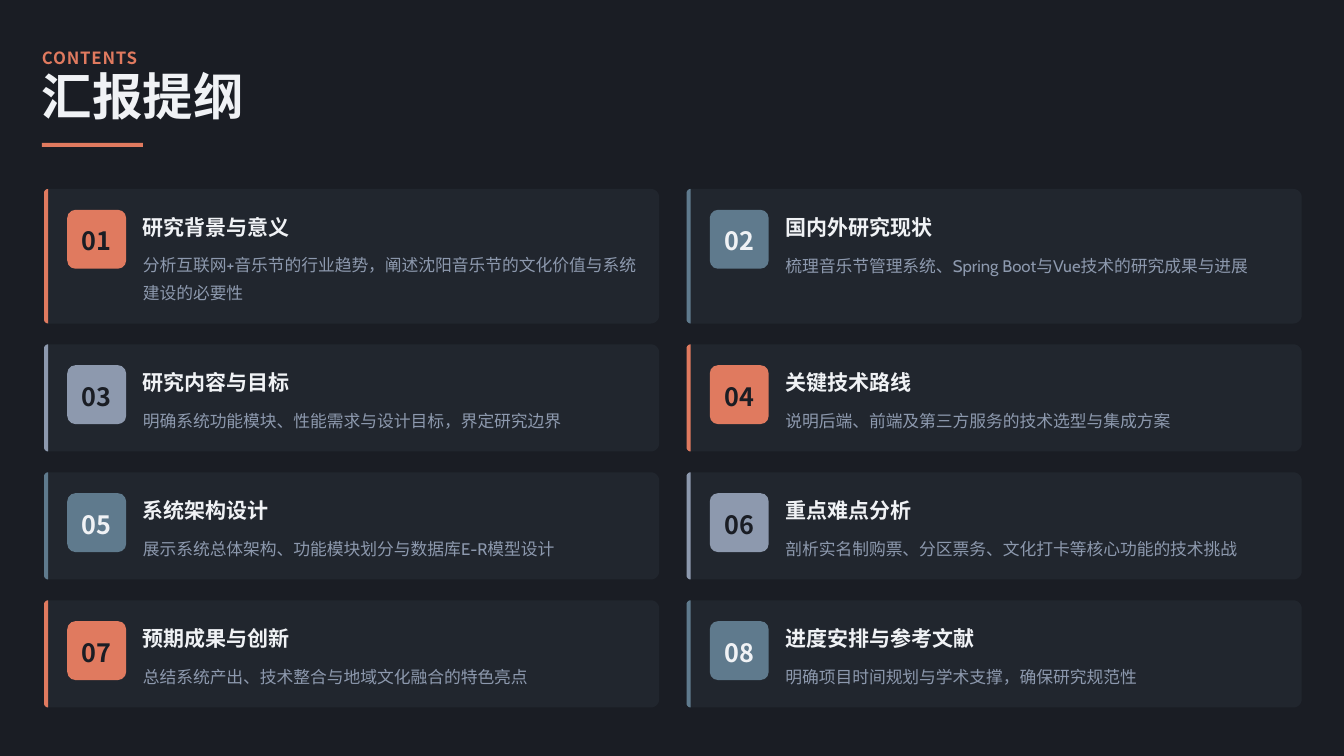
from math import cos, sin, pi

from lxml import etree
from pptx import Presentation
from pptx.dml.color import RGBColor
from pptx.enum.shapes import MSO_SHAPE
from pptx.enum.text import MSO_ANCHOR, MSO_AUTO_SIZE, PP_ALIGN
from pptx.oxml.ns import qn
from pptx.util import Cm, Pt

RECT, ROUND = MSO_SHAPE.RECTANGLE, MSO_SHAPE.ROUNDED_RECTANGLE
MIDDLE, FIXED = MSO_ANCHOR.MIDDLE, MSO_AUTO_SIZE.NONE
LEFT, CENTER = PP_ALIGN.LEFT, PP_ALIGN.CENTER
HAN = "Noto Sans CJK SC"
DARK, LIGHT = "1A1D24", "F0F2F5"
CORAL, TEAL, GREY = "E07A5F", "5F7A8D", "8D99AE"

TOPICS = [
    ("研究背景与意义", "分析互联网+音乐节的行业趋势，阐述沈阳音乐节的文化价值与系统建设的必要性"),
    ("国内外研究现状", "梳理音乐节管理系统、Spring Boot与Vue技术的研究成果与进展"),
    ("研究内容与目标", "明确系统功能模块、性能需求与设计目标，界定研究边界"),
    ("关键技术路线", "说明后端、前端及第三方服务的技术选型与集成方案"),
    ("系统架构设计", "展示系统总体架构、功能模块划分与数据库E-R模型设计"),
    ("重点难点分析", "剖析实名制购票、分区票务、文化打卡等核心功能的技术挑战"),
    ("预期成果与创新", "总结系统产出、技术整合与地域文化融合的特色亮点"),
    ("进度安排与参考文献", "明确项目时间规划与学术支撑，确保研究规范性"),
]


def paint(fill, tint, alpha=100):
    """Make any fill solid, with alpha in percent."""
    fill.solid()
    fill.fore_color.rgb = RGBColor.from_string(tint)
    if alpha < 100:
        node = fill._xPr.find(".//" + qn("a:srgbClr"))
        etree.SubElement(node, qn("a:alpha"), val=str(alpha * 1000))


def write(shape, text, size, tint, space, face=HAN, bold=True, align=LEFT):
    frame = shape.text_frame
    look = {"word_wrap": True, "auto_size": FIXED, "vertical_anchor": MIDDLE,
            "margin_left": 0, "margin_right": 0,
            "margin_top": 0, "margin_bottom": 0}
    for key, value in look.items():
        setattr(frame, key, value)
    para = frame.paragraphs[0]
    para.alignment, para.line_spacing = align, space
    run = para.add_run()
    run.text = text
    for key, value in {"size": Pt(size), "bold": bold, "name": face}.items():
        setattr(run.font, key, value)
    paint(run.font.fill, tint)
    etree.SubElement(run._r.get_or_add_rPr(), qn("a:ea"), typeface=HAN)
    return run


deck = Presentation()
deck.slide_width, deck.slide_height = Cm(45.16), Cm(25.4)
slide = deck.slides.add_slide(deck.slide_layouts[5])
shapes = slide.shapes
paint(slide.background.fill, DARK)

# Heading
label = shapes.add_textbox(Cm(1.41), Cm(1.41), Cm(42.62), Cm(0.85))
run = write(label, "CONTENTS", 16, CORAL, 1.3)
run._r.get_or_add_rPr().set("spc", "80")
title = shapes.title
place = {"left": 1.41, "top": 2.54, "width": 43.18, "height": 1.69}
for key, value in place.items():
    setattr(title, key, Cm(value))
write(title, "汇报提纲", 48, LIGHT, 0.8)
rule = shapes.add_shape(RECT, Cm(1.41), Cm(4.8), Cm(3.39), Cm(0.14))
paint(rule.fill, CORAL)
solids = [rule]

# Topic cards, two to a row; the first row is taller
WIDE, GAP, STEP, EDGE = 20.67, 0.7, 21.59, 0.14
top = 6.35
for index, (head, note) in enumerate(TOPICS):
    row, col = divmod(index, 2)
    high = 3.6 if row else 4.52
    left = 1.48 + col * STEP
    hue = (CORAL, TEAL, GREY)[index % 3]

    # Card and side bar: each has its own radius on the left and right
    for wide, far, tint, alpha in ((WIDE, 0.28, TEAL, 10), (EDGE, 0, hue, 100)):
        right, base = left + wide, top + high
        corners = [(left + EDGE, top + EDGE, EDGE, 2), (right - far, top + far, far, 3),
                   (right - far, base - far, far, 0), (left + EDGE, base - EDGE, EDGE, 1)]
        points = [(Cm(x + r * cos((turn + part / 8) * pi / 2)),
                   Cm(y + r * sin((turn + part / 8) * pi / 2)))
                  for x, y, r, turn in corners for part in range(9)]
        pen = shapes.build_freeform(*points[0])
        pen.add_line_segments(points[1:], close=True)
        panel = pen.convert_to_shape()
        paint(panel.fill, tint, alpha)
        solids.append(panel)

    badge = shapes.add_shape(ROUND, Cm(left + 0.78), Cm(top + GAP), Cm(1.98), Cm(1.98))
    badge.adjustments[0] = 0.14
    paint(badge.fill, hue)
    solids.append(badge)
    ink = LIGHT if hue == TEAL else DARK
    write(badge, f"{index + 1:02}", 24, ink, 1.1, align=CENTER)

    name = shapes.add_textbox(Cm(left + 3.32), Cm(top + GAP), Cm(17), Cm(1))
    write(name, head, 20, LIGHT, 1.2)
    # The first note runs to two lines
    tall = 0.91 if index else 1.83
    body = shapes.add_textbox(Cm(left + 3.32), Cm(top + 1.98), Cm(16.95), Cm(tall))
    write(body, note, 16, GREY, 1.4, face="Cabin", bold=False)
    if col:
        top += high + GAP

for solid in solids:
    solid.line.fill.background()
    solid.shadow.inherit = False

deck.save("out.pptx")
